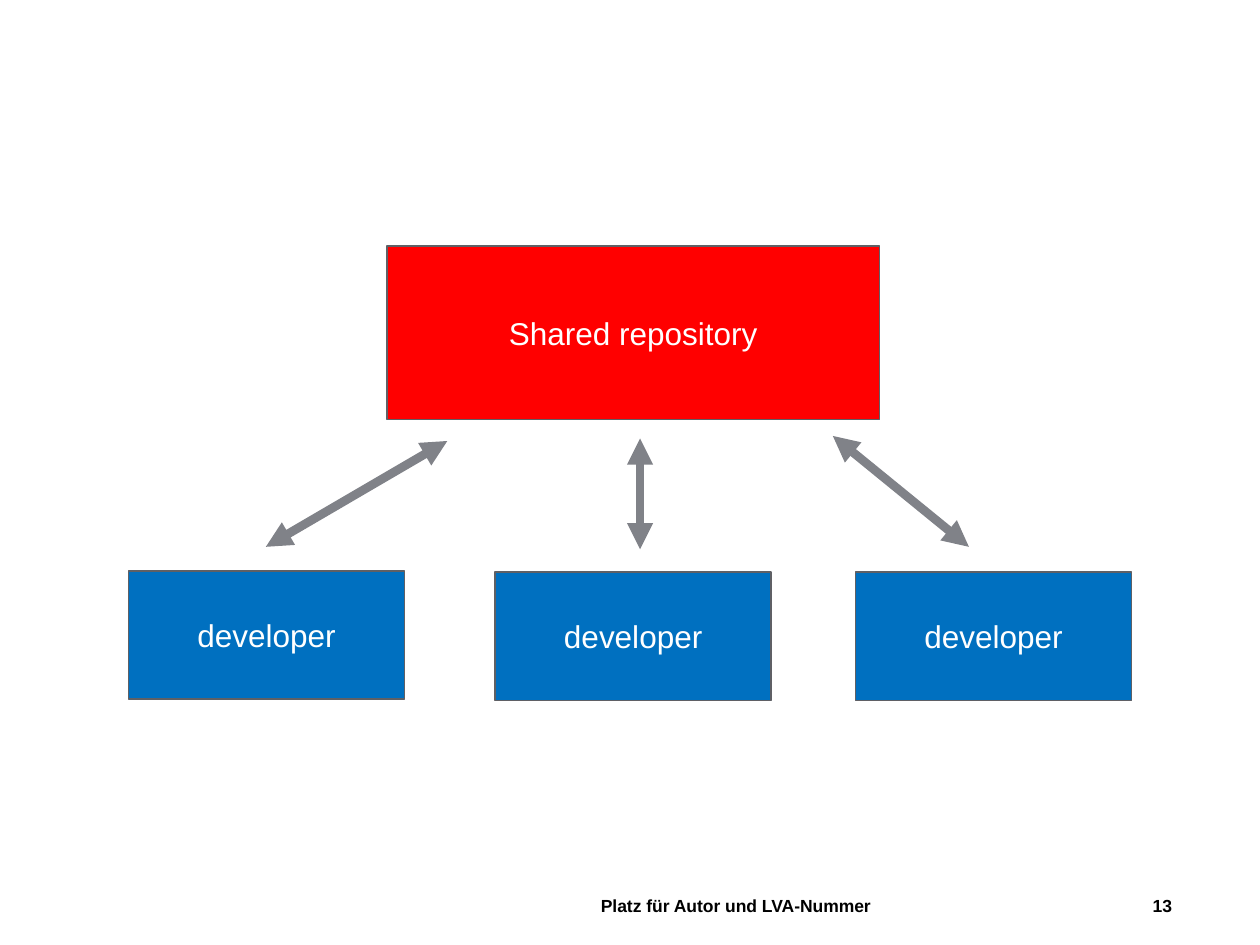
from lxml import etree
from pptx import Presentation, util as u
from pptx.dml.color import RGBColor
from pptx.enum import shapes, text
from pptx.oxml.ns import qn

# Grid of 100 columns by 75 rows; a box is (left, top, width, height) in cells
COLUMNS, ROWS = 100, 75
CELL = u.Inches(0.1)

RED, BLUE, WHITE, BLACK = "FF0000", "0070C0", "FFFFFF", "000000"
OUTLINE, ARROW = "5F6065", "808288"


def color(hex_string):
    return RGBColor.from_string(hex_string)


def grid(*cells):
    return [round(cell * CELL) for cell in cells]


def inside(box, left, top, width, height):
    """Turn a box relative to its region into one on the slide."""
    return box[0] + left, box[1] + top, width, height


def write(shape, words, size=18, ink=WHITE, bold=False,
          align=text.PP_ALIGN.CENTER):
    frame = shape.text_frame
    frame.word_wrap = True
    frame.vertical_anchor = text.MSO_ANCHOR.MIDDLE
    paragraph = frame.paragraphs[0]
    paragraph.alignment = align
    run = paragraph.add_run()
    run.text = words
    run.font.name = "Arial"
    run.font.size = u.Pt(size)
    run.font.bold = bold
    run.font.color.rgb = color(ink)


def add_node(slide, box, words, fill):
    shape = slide.shapes.add_shape(shapes.MSO_SHAPE.RECTANGLE, *grid(*box))
    shape.shadow.inherit = False
    shape.fill.solid()
    shape.fill.fore_color.rgb = color(fill)
    shape.line.color.rgb = color(OUTLINE)
    shape.line.width = u.Pt(1)
    write(shape, words)


def add_double_arrow(slide, start, end):
    connector = slide.shapes.add_connector(
        shapes.MSO_CONNECTOR.STRAIGHT, *grid(*start, *end))
    connector.line.color.rgb = color(ARROW)
    connector.line.width = u.Pt(5)
    line = connector.line._get_or_add_ln()
    for tag in ("a:headEnd", "a:tailEnd"):
        etree.SubElement(line, qn(tag), type="triangle")
    etree.SubElement(connector._element.spPr, qn("a:effectLst"))


def add_diagram(slide, box):
    # Repository above, developers in a row below
    add_node(slide, inside(box, 20.5, 0, 39.1, 13.8), "Shared repository", RED)
    for left, top in ((0, 25.8), (29.1, 25.9), (57.7, 25.9)):
        add_node(slide, inside(box, left, top, 21.9, 10.2), "developer", BLUE)

    # Arrows from each developer to the repository
    for x1, y1, x2, y2 in ((10.9, 23.9, 25.3, 15.5),
                           (66.7, 23.9, 55.9, 15.1),
                           (40.6, 24.1, 40.6, 15.3)):
        add_double_arrow(slide, (box[0] + x1, box[1] + y1),
                         (box[0] + x2, box[1] + y2))


def add_footer(slide, box):
    # Author at the left edge, slide number at the right edge
    number_width = 5.6
    parts = (
        ("Platz für Autor und LVA-Nummer", 0, 33.8, text.PP_ALIGN.LEFT),
        ("13", box[2] - number_width, number_width, text.PP_ALIGN.RIGHT),
    )
    for words, left, width, align in parts:
        place = inside(box, left, 0, width, box[3])
        write(slide.shapes.add_textbox(*grid(*place)), words,
              size=10, ink=BLACK, bold=True, align=align)


def main():
    presentation = Presentation()
    presentation.slide_width = COLUMNS * CELL
    presentation.slide_height = ROWS * CELL
    slide = presentation.slides.add_slide(presentation.slide_layouts[6])
    slide.background.fill.solid()
    slide.background.fill.fore_color.rgb = color(WHITE)
    add_footer(slide, (46.7, 69.9, 47.3, 4))
    add_diagram(slide, (10.2, 19.5, 79.6, 36.1))
    presentation.save("out.pptx")


if __name__ == "__main__":
    main()
